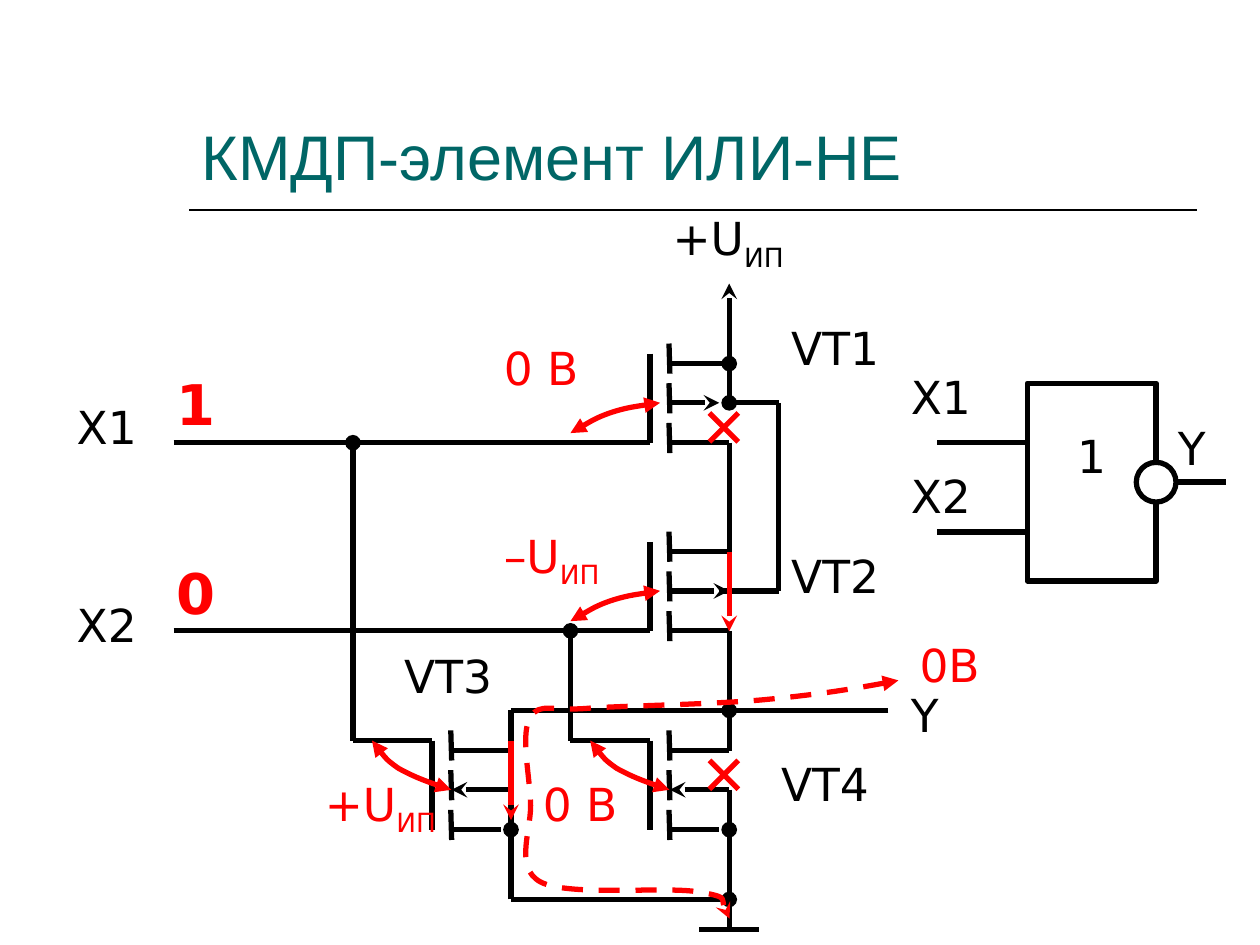
import lxml.etree
import pptx
import pptx.dml.color
import pptx.enum.dml
import pptx.enum.shapes
import pptx.enum.text
import pptx.oxml.ns
import pptx.util

Pt = pptx.util.Pt
BLACK = pptx.dml.color.RGBColor(0, 0, 0)
WHITE = pptx.dml.color.RGBColor(255, 255, 255)
RED = pptx.dml.color.RGBColor(255, 0, 0)
TEAL = pptx.dml.color.RGBColor(0, 102, 102)
LABEL_FONT = "DejaVu Sans"

TOP_GATE, MIDDLE_GATE, LOWER_GATE = 202.1, 309.6, 423.2
LEFT_GATE, RIGHT_GATE = 246.8, 371.5
LEFT_RAIL, RIGHT_RAIL, BULK_RAIL = 292, 416.7, 445
X1_DROP, X2_DROP = 201.7, 326
DRAIN, BODY, SOURCE = 5.7, 28.1, 50.9
OUTPUT_Y, GROUND_Y = 406, 514


def add_element(parent, tag, **attributes):
    return lxml.etree.SubElement(parent, pptx.oxml.ns.qn(tag), attributes)


def style_line(shape, color, width=3, head=None, tail=None, dashed=False):
    shape.line.color.rgb = color
    shape.line.width = Pt(width)
    if dashed:
        shape.line.dash_style = pptx.enum.dml.MSO_LINE.DASH
    outline = shape._element.spPr.find(pptx.oxml.ns.qn("a:ln"))
    for tag, kind in (("a:headEnd", head), ("a:tailEnd", tail)):
        if kind:
            add_element(outline, tag, type=kind)


def add_wire(shapes, start, end, color=BLACK, **style):
    wire = shapes.add_connector(
        pptx.enum.shapes.MSO_CONNECTOR.STRAIGHT, *map(Pt, (*start, *end)))
    style_line(wire, color, **style)
    add_element(wire._element.spPr, "a:effectLst")
    return wire


def add_curve(shapes, points, tail="triangle", dashed=False):
    start, *others = [(Pt(x), Pt(y)) for x, y in points]
    builder = shapes.build_freeform(*start)
    builder.add_line_segments(others, close=False)
    curve = builder.convert_to_shape()
    outline = curve._element.find(".//" + pptx.oxml.ns.qn("a:path"))
    segments = list(outline)[1:]
    for first in range(0, len(segments), 3):
        bezier = add_element(outline, "a:cubicBezTo")
        for segment in segments[first:first + 3]:
            bezier.append(segment[0])
            outline.remove(segment)
    curve.fill.background()
    curve.shadow.inherit = False
    style_line(curve, RED, head="triangle", tail=tail, dashed=dashed)


def format_font(font, color, size, name=LABEL_FONT, bold=False):
    font.name = name
    font.size = Pt(size)
    font.color.rgb = color
    font.bold = bold


def add_label(shapes, text, left, top, width, color=BLACK, subscript="", size=26, bold=False):
    height = 46 if bold else 43.2 if subscript else 38.9
    box = shapes.add_textbox(*map(Pt, (left, top, width, height)))
    box.text_frame.word_wrap = True
    box.text_frame.auto_size = pptx.enum.text.MSO_AUTO_SIZE.SHAPE_TO_FIT_TEXT
    para = box.text_frame.paragraphs[0]
    para.add_run().text = text
    if subscript:
        span = para.add_run()
        span.text = subscript
        span.font._element.set("baseline", "-25000")
    format_font(para.font, color, size, bold=bold)


def add_transistor(shapes, gate, top, source_length, body_start, body_end, arrow_at):
    channel = gate + 11.3
    add_wire(shapes, (gate, top), (gate, top + SOURCE))
    for step in range(3):
        middle = top + 2.8 + 22.7 * step
        add_wire(shapes, (channel, middle + 8.6), (channel - 0.5, middle - 8.6))
    add_wire(shapes, (channel, top + DRAIN), (gate + 45.2, top + DRAIN))
    add_wire(shapes, (channel, top + SOURCE), (channel + source_length, top + SOURCE))
    add_wire(shapes, (body_start, top + BODY), (body_end, top + BODY), **{arrow_at: "stealth"})


def add_cross(page, left, top, size=16.5):
    group = page.shapes.add_group_shape()
    right, bottom = left + size, top + size
    add_wire(group.shapes, (left, top), (right, bottom), RED)
    add_wire(group.shapes, (left, bottom), (right, top), RED)


def add_gate_symbol(shapes):
    kinds = pptx.enum.shapes.MSO_SHAPE
    body = shapes.add_shape(kinds.RECTANGLE, *map(Pt, (587, 219, 73.7, 113)))
    output = add_wire(shapes, (660.7, 275.5), (700.6, 275.5))
    output.begin_connect(body, 3)
    bubble = shapes.add_shape(kinds.OVAL, *map(Pt, (649.3, 264.2, 22.7, 22.7)))
    for shape in (body, bubble):
        shape.shadow.inherit = False
        shape.fill.solid()
        shape.fill.fore_color.rgb = WHITE
        style_line(shape, BLACK)
    frame = body.text_frame
    frame.word_wrap = False
    frame.vertical_anchor = pptx.enum.text.MSO_ANCHOR.MIDDLE
    frame.margin_bottom = Pt(34)
    para = frame.paragraphs[0]
    para.text = "1"
    para.alignment = pptx.enum.text.PP_ALIGN.CENTER
    format_font(para.font, BLACK, 26)
    for y in (253, 304):
        add_wire(shapes, (535.7, y), (587, y))


def add_title(page):
    title = page.shapes.title
    title.left, title.top, title.width, title.height = map(Pt, (108, 24, 576, 90))
    title.text_frame.vertical_anchor = pptx.enum.text.MSO_ANCHOR.BOTTOM
    para = title.text_frame.paragraphs[0]
    para.text = "КМДП-элемент ИЛИ-НЕ"
    para.alignment = pptx.enum.text.PP_ALIGN.LEFT
    format_font(para.font, TEAL, 36, "Arial")
    add_wire(page.shapes, (108, 120), (684, 120), width=1)


def add_circuit(shapes):
    channel = RIGHT_GATE + 11.3
    add_transistor(shapes, RIGHT_GATE, TOP_GATE, 33.9, channel, 411, "tail")
    add_transistor(shapes, RIGHT_GATE, MIDDLE_GATE, 33.9, channel, RIGHT_RAIL, "tail")
    for gate, rail in ((LEFT_GATE, LEFT_RAIL), (RIGHT_GATE, RIGHT_RAIL)):
        add_transistor(shapes, gate, LOWER_GATE, 28.3, gate + 11.3, rail, "head")
        add_wire(shapes, (rail, LOWER_GATE + BODY), (rail, LOWER_GATE + SOURCE))
        add_wire(shapes, (rail, OUTPUT_Y), (rail, LOWER_GATE + DRAIN))

    x1, x2 = TOP_GATE + SOURCE, MIDDLE_GATE + SOURCE
    for y, drop, gate in ((x1, X1_DROP, LEFT_GATE), (x2, X2_DROP, RIGHT_GATE)):
        add_wire(shapes, (99.2, y), (RIGHT_GATE, y))
        add_wire(shapes, (drop, LOWER_GATE), (drop, y), tail="oval")
        add_wire(shapes, (drop, LOWER_GATE), (gate, LOWER_GATE))

    drain, body, lower_body = TOP_GATE + DRAIN, TOP_GATE + BODY, MIDDLE_GATE + BODY
    source = LOWER_GATE + SOURCE
    add_wire(shapes, (RIGHT_RAIL, body), (RIGHT_RAIL, drain), tail="oval")
    add_wire(shapes, (RIGHT_RAIL, 162), (RIGHT_RAIL, drain), head="stealth")
    add_wire(shapes, (RIGHT_RAIL, x1), (RIGHT_RAIL, MIDDLE_GATE + DRAIN))
    add_wire(shapes, (RIGHT_RAIL, x2), (RIGHT_RAIL, OUTPUT_Y))
    add_wire(shapes, (411, lower_body), (BULK_RAIL, lower_body))
    add_wire(shapes, (BULK_RAIL, body), (BULK_RAIL, lower_body))
    add_wire(shapes, (BULK_RAIL, body), (RIGHT_RAIL, body), tail="oval")
    add_wire(shapes, (507.6, OUTPUT_Y), (RIGHT_RAIL, OUTPUT_Y), tail="oval")
    add_wire(shapes, (LEFT_RAIL, OUTPUT_Y), (RIGHT_RAIL, OUTPUT_Y))
    add_wire(shapes, (RIGHT_RAIL, 531), (RIGHT_RAIL, source), tail="oval")
    add_wire(shapes, (399.6, 531), (433.6, 531))
    add_wire(shapes, (LEFT_RAIL, GROUND_Y), (LEFT_RAIL, source), tail="oval")
    add_wire(shapes, (LEFT_RAIL, GROUND_Y), (RIGHT_RAIL, GROUND_Y), tail="oval")


def add_signals(page):
    shapes = page.shapes
    for y in (TOP_GATE + BODY, MIDDLE_GATE + BODY):
        add_curve(shapes, [(377.2, y), (367.2, y + 1.4), (357.2, y + 2.9), (348.5, y + 5.8),
                           (340.6, y + 8.6), (333.4, y + 13), (X2_DROP, y + 17.3)])
    for x in (212.6, 337.3):
        y = LOWER_GATE
        add_curve(shapes, [(x, y), (x + 3.6, y + 5), (x + 7.9, y + 10.8), (x + 15.1, y + 15.8),
                           (x + 23, y + 20.2), (x + 33.8, y + 24.5), (x + 45.3, y + 28.1)])
    for rail, top in ((LEFT_RAIL, LOWER_GATE), (RIGHT_RAIL, MIDDLE_GATE + DRAIN)):
        add_wire(shapes, (rail, top + 45.4), (rail, top), RED, head="stealth")
    add_cross(page, 405.4, 236)
    add_cross(page, 405.4, 434.5)
    add_curve(shapes, [
        (513.4, 388.8), (491, 393.1), (468.7, 396.7), (439.2, 399.6),
        (410.4, 402.5), (360, 403.2), (337.7, 404.6),
        (314.6, 406.8), (308.9, 401), (303.1, 409.7),
        (297.4, 419), (302.4, 441.4), (303.1, 457.2),
        (304.6, 473), (293, 495.4), (308.9, 504),
        (325.4, 512.6), (381.6, 506.2), (399.6, 509.8),
        (417.6, 512.6), (413.3, 522.7), (416.9, 524.9)], tail="stealth", dashed=True)


def add_labels(shapes):
    for text, left, top, width in (
            ("X1", 36.7, 224.6, 67.7), ("X2", 36.7, 337.7, 67.7),
            ("X1", 513.4, 207.4, 67.7), ("X2", 513.4, 264.2, 67.7),
            ("Y", 513.4, 388.8, 67.7), ("Y", 666, 236.2, 45.4),
            ("VT1", 445, 179.3, 73.4), ("VT2", 445, 309.6, 73.4),
            ("VT3", 223.9, 366.5, 73.4), ("VT4", 439.2, 428.4, 73.4)):
        add_label(shapes, text, left, top, width)
    for text, subscript, left, top, color in (
            ("+U", "ИП", 377.3, 116.6, BLACK), ("0 В", "", 280.8, 190.8, RED),
            ("–U", "ИП", 280.8, 298.1, RED), ("+U", "ИП", 178.6, 439.9, RED),
            ("0 В", "", 303.1, 439.9, RED), ("0В", "", 518.4, 360.7, RED)):
        add_label(shapes, text, left, top, 90.7, color, subscript)
    for text, top in (("1", 207.4), ("0", 315.4)):
        add_label(shapes, text, 93.6, top, 39.6, RED, size=32, bold=True)


def main():
    deck = pptx.Presentation()
    deck.slide_width, deck.slide_height = Pt(720), Pt(540)
    page = deck.slides.add_slide(deck.slide_layouts[5])
    add_title(page)
    add_circuit(page.shapes)
    add_signals(page)
    add_gate_symbol(page.shapes)
    add_labels(page.shapes)
    deck.save("out.pptx")


if __name__ == "__main__":
    main()
